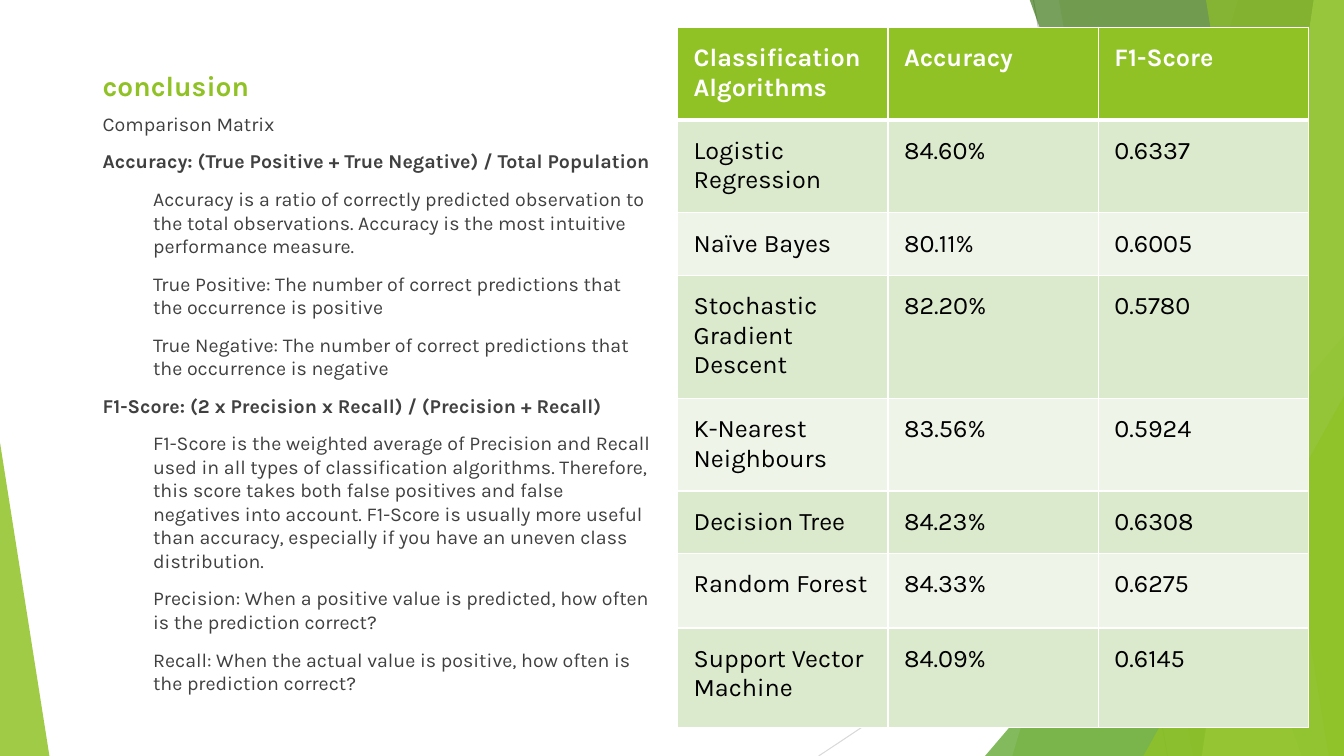
from lxml.etree import SubElement
from pptx import Presentation
from pptx.dml.color import RGBColor
from pptx.enum.shapes import MSO_CONNECTOR, MSO_SHAPE
from pptx.enum.text import MSO_ANCHOR
from pptx.oxml.ns import qn
from pptx.util import Inches, Pt

WIDE, HIGH = 13.33, 7.5
GREEN, WHITE, BLACK, GREY = "90C226", "FFFFFF", "000000", "404040"
BANDS = "EEF4E8", "DBE9CD"

# Each line runs from (x, y) to (x, y).
LINES = [(10.25, 0, 11.58, HIGH, "BFBFBF"), (WIDE, 4.03, 8.12, HIGH, "D9D9D9")]

# A pane spans the full height up to the right edge: top x, foot x, colour, opacity.
# A wedge stands on the lower edge: left, width, height, apex, colour, opacity.
LAYERS = [
    ("pane", 12.28, 10.04, GREEN, 30),
    ("pane", 10.5, 11.83, GREEN, 20),
    ("wedge", 9.77, 3.56, 4.17, 1, "54A021", 72),
    ("pane", 10.21, 12.91, "3F7819", 70),
    ("pane", 13.03, 11.92, "C0E474", 70),
    ("pane", 11.96, 13.18, GREEN, 65),
    ("wedge", 11.34, 1.99, 3.57, 1, GREEN, 80),
    ("wedge", 0, 0.49, 3.11, 0, GREEN, 85),
]

NOTES = [
    (0, False, "Comparison Matrix"),
    (0, True, "Accuracy: (True Positive + True Negative) / Total Population"),
    (1, False, "Accuracy is a ratio of correctly predicted observation to the total "
               "observations. Accuracy is the most intuitive performance measure."),
    (1, False, "True Positive: The number of correct predictions that the occurrence is positive"),
    (1, False, "True Negative: The number of correct predictions that the occurrence is negative"),
    (0, True, "F1-Score: (2 x Precision x Recall) / (Precision + Recall)"),
    (1, False, "F1-Score is the weighted average of Precision and Recall used in all types of "
               "classification algorithms. Therefore, this score takes both false positives and "
               "false negatives into account. F1-Score is usually more useful than accuracy, "
               "especially if you have an uneven class distribution."),
    (1, False, "Precision: When a positive value is predicted, how often is the prediction correct?"),
    (1, False, "Recall: When the actual value is positive, how often is the prediction correct?"),
]

# Row height, then the texts of the row.
SCORES = [
    (0.89, "Classification Algorithms", "Accuracy", "F1-Score"),
    (0.89, "Logistic Regression", "84.60%", "0.6337"),
    (0.6, "Naïve Bayes", "80.11%", "0.6005"),
    (0.99, "Stochastic Gradient Descent", "82.20%", "0.5780"),
    (0.89, "K-Nearest Neighbours", "83.56%", "0.5924"),
    (0.6, "Decision Tree", "84.23%", "0.6308"),
    (0.74, "Random Forest", "84.33%", "0.6275"),
    (0.99, "Support Vector Machine", "84.09%", "0.6145"),
]


def paint(form, color):
    """Set the colour of a font, or of a solid fill or line."""
    if hasattr(form, "solid"):
        form.solid()
        form = form.fore_color
    else:
        form = form.color
    form.rgb = RGBColor.from_string(color)


def assign(item, values):
    for name, value in values.items():
        setattr(item, name, value)


def write(para, text, size, color, bold):
    run = para.add_run()
    run.text = text
    assign(run.font, {"name": "Karla", "size": Pt(size), "bold": bold})
    paint(run.font, color)


def glaze(shape, color, alpha):
    """Give a shape a translucent fill and no outline."""
    shape.shadow.inherit = False
    paint(shape.fill, color)
    shape.line.fill.background()
    tint = shape.fill._xPr.find(qn("a:solidFill"))[0]
    SubElement(tint, qn("a:alpha"), val=str(alpha * 1000))


def pane(shapes, box, top, foot, color, alpha):
    x, y, w, h = box
    right, low = x + w, y + h
    rise = y - 0.01
    spots = [(right, rise), (right, low), (x + foot, low)]
    form = shapes.build_freeform(Inches(x + top), Inches(rise))
    form.add_line_segments([(Inches(a), Inches(b)) for a, b in spots])
    glaze(form.convert_to_shape(), color, alpha)


def wedge(shapes, box, left, wide, high, apex, color, alpha):
    x, y, _, h = box
    place = map(Inches, (x + left, y + h - high, wide, high))
    shape = shapes.add_shape(MSO_SHAPE.ISOSCELES_TRIANGLE, *place)
    shape.adjustments[0] = apex
    glaze(shape, color, alpha)


def backdrop(shapes, box):
    x, y = box[:2]
    for x1, y1, x2, y2, color in LINES:
        ends = map(Inches, (x + x1, y + y1, x + x2, y + y2))
        line = shapes.add_connector(MSO_CONNECTOR.STRAIGHT, *ends)
        line.line.width = Pt(0.75)
        paint(line.line.fill, color)
        SubElement(line._element.spPr, qn("a:effectLst"))
    draw = {"pane": pane, "wedge": wedge}
    for kind, *values in LAYERS:
        draw[kind](shapes, box, *values)


def frame(shapes, box, anchor):
    """Add an empty wrapping text box."""
    text = shapes.add_textbox(*map(Inches, box)).text_frame
    assign(text, {"word_wrap": True, "vertical_anchor": anchor})
    return text


def title(shapes, box):
    text = frame(shapes, box, MSO_ANCHOR.BOTTOM)
    write(text.paragraphs[0], "conclusion", 20, GREEN, True)


def notes(shapes, box):
    text = frame(shapes, box, MSO_ANCHOR.TOP)
    for i, (level, bold, words) in enumerate(NOTES):
        para = text.add_paragraph() if i else text.paragraphs[0]
        assign(para, {"level": level, "space_before": Pt(10)})
        para._p.get_or_add_pPr().set("marL", str(Inches(level * 0.5)))
        write(para, words, 14, GREY, bold)


def border(cell, head):
    """Draw white cell borders, heavier below the header."""
    props = cell._tc.get_or_add_tcPr()
    for side in "LRTB":
        width = Pt(3 if head and side == "B" else 1)
        line = SubElement(props, qn(f"a:ln{side}"), w=str(width))
        fill = SubElement(line, qn("a:solidFill"))
        SubElement(fill, qn("a:srgbClr"), val=WHITE)


def scores(shapes, box):
    count = len(SCORES[0]) - 1
    table = shapes.add_table(len(SCORES), count, *map(Inches, box)).table
    table.horz_banding = False
    for column in table.columns:
        column.width = Inches(box[2] / count)
    sides = ("left", "right", "top", "bottom")
    inset = {f"margin_{side}": Inches(0.16) for side in sides}
    for i, (high, *texts) in enumerate(SCORES):
        table.rows[i].height = Inches(high)
        head = i == 0
        for j, words in enumerate(texts):
            cell = table.cell(i, j)
            assign(cell, inset)
            border(cell, head)
            paint(cell.fill, GREEN if head else BANDS[i % 2])
            write(cell.text_frame.paragraphs[0], words, 18, WHITE if head else BLACK, head)


def main():
    deck = Presentation()
    assign(deck, {"slide_width": Inches(WIDE), "slide_height": Inches(HIGH)})
    shapes = deck.slides.add_slide(deck.slide_layouts[6]).shapes
    backdrop(shapes, (0, 0, WIDE, HIGH))
    title(shapes, (0.92, 0.5, 4.3, 0.56))
    scores(shapes, (6.72, 0.27, 6.26, 6.91))
    notes(shapes, (0.92, 1.06, 5.64, 6.32))
    deck.save("out.pptx")


if __name__ == "__main__":
    main()
